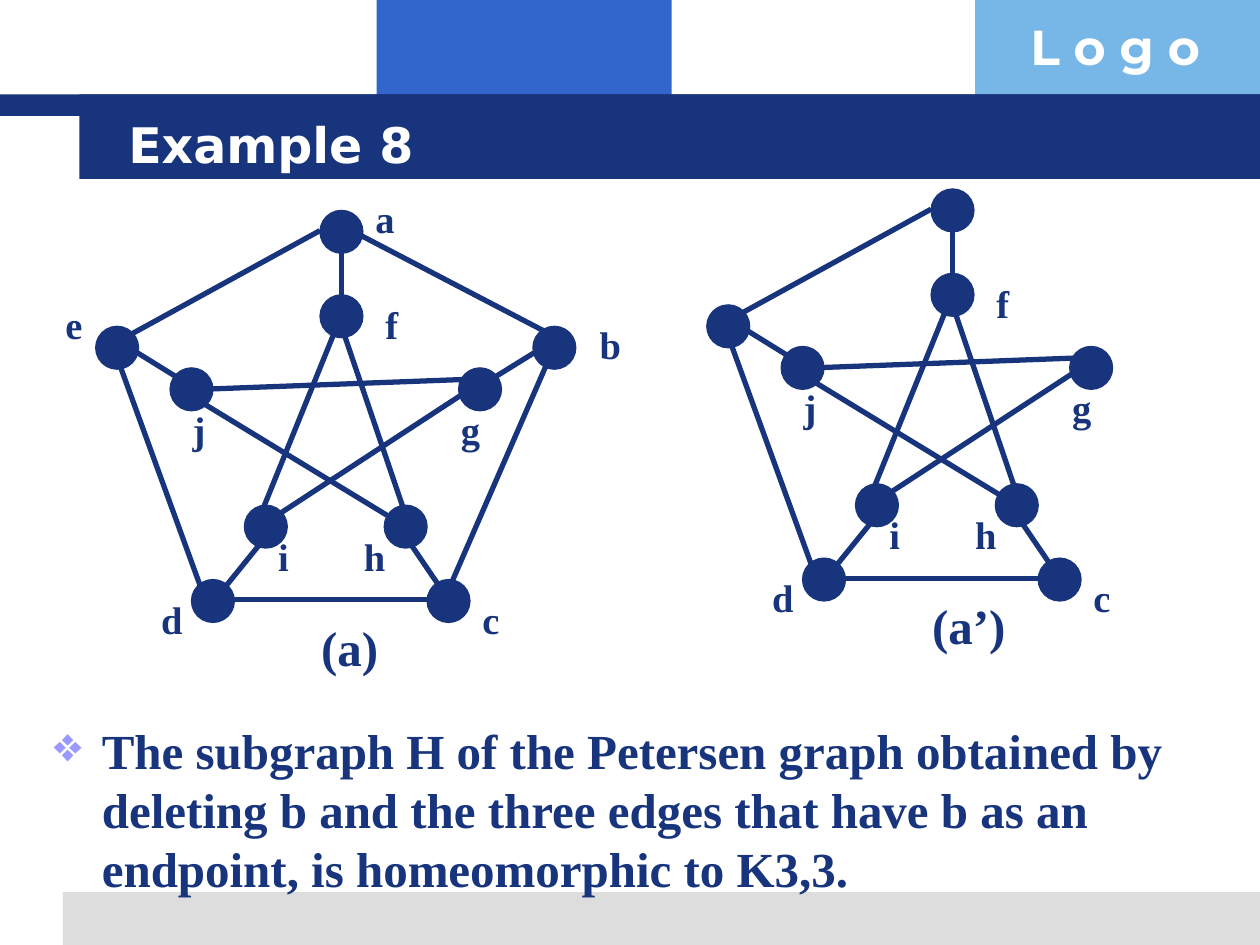
"""Build a slide showing the Petersen graph beside its subgraph without vertex b."""
import pptx
import pptx.dml.color
import pptx.enum.shapes
import pptx.enum.text
import pptx.oxml.ns
import pptx.util
from pptx.util import Inches

NAVY, WHITE, SERIF = "17347D", "FFFFFF", "Times New Roman"
TITLE = "Example 8"
LOGO = "L o g o"
BODY = ("The subgraph H of the Petersen graph obtained by deleting b and the three "
        "edges that have b as an endpoint, is homeomorphic to K3,3.")
BANDS = [
    (2.99, 0, 2.34, 0.92, "3366CC"),
    (7.74, 0, 2.26, 0.92, "77B7E7"),
    (0.5, 7.08, 9.5, 0.42, "DDDDDD"),
    (0, 0.75, 10, 0.17, NAVY),
    (0.63, 0.75, 9.37, 0.67, NAVY),
]
NODE = 0.34
NODES = {
    "a": (2.54, 1.67), "b": (4.23, 2.59), "c": (3.39, 4.6), "d": (1.52, 4.6),
    "e": (0.76, 2.59), "f": (2.54, 2.34), "g": (3.64, 2.92), "h": (3.05, 4.01),
    "i": (1.94, 4.01), "j": (1.35, 2.92),
}
LABELS = {
    "a": (2.88, 1.5), "b": (4.66, 2.5), "c": (3.73, 4.68), "d": (1.18, 4.68),
    "e": (0.42, 2.34), "f": (2.96, 2.34), "g": (3.56, 3.17), "h": (2.79, 4.18),
    "i": (2.11, 4.18), "j": (1.43, 3.17),
}
EDGES = {
    "bc": (3.56, 4.68, 4.4, 2.75), "ab": (4.4, 2.67, 2.79, 1.83),
    "bg": (3.9, 3.01, 4.32, 2.75), "fi": (2.03, 4.18, 2.71, 2.5),
    "de": (0.93, 2.84, 1.6, 4.68), "cd": (1.77, 4.76, 3.47, 4.76),
    "gj": (1.6, 3.09, 3.73, 3.01), "gi": (2.2, 4.09, 3.73, 3.09),
    "hj": (3.22, 4.18, 1.43, 3.09), "ae": (1.01, 2.67, 2.54, 1.83),
    "fh": (3.22, 4.09, 2.71, 2.59), "af": (2.71, 2.42, 2.71, 1.92),
    "di": (1.77, 4.68, 2.11, 4.26), "ch": (3.56, 4.76, 3.22, 4.26),
    "ej": (1.43, 3.01, 1.01, 2.75),
}
CAPTION_AT = (2.45, 4.85)
GRAPHS = [
    {"offset": (0, 0), "removed": "", "unlabelled": "", "caption": "(a)"},
    {"offset": (4.85, -0.17), "removed": "b", "unlabelled": "abe", "caption": "(a’)"},
]


def rgb(color):
    return pptx.dml.color.RGBColor.from_string(color)


def add_block(s, kind, x, y, w, h, color, line=None):
    sp = s.shapes.add_shape(kind, Inches(x), Inches(y), Inches(w), Inches(h))
    sp.shadow.inherit = False
    sp.fill.solid()
    sp.fill.fore_color.rgb = rgb(color)
    if line:
        sp.line.color.rgb = rgb(color)
        sp.line.width = pptx.util.Pt(line)
    else:
        sp.line.fill.background()
    return sp


def add_text(s, text, x, y, w, h, size=28, name=SERIF, color=NAVY):
    tf = s.shapes.add_textbox(Inches(x), Inches(y), Inches(w), Inches(h)).text_frame
    tf.word_wrap = True
    r = tf.paragraphs[0].add_run()
    r.text = text
    font_format = {"size": pptx.util.Pt(size), "name": name, "bold": True}
    for key, value in font_format.items():
        setattr(r.font, key, value)
    r.font.color.rgb = rgb(color)
    return tf


def add_bullet(p, char, color, indent):
    pPr = p._p.get_or_add_pPr()
    pPr.set("marL", str(Inches(indent)))
    pPr.set("indent", str(-Inches(indent)))
    buClr = pptx.oxml.xmlchemy.OxmlElement("a:buClr")
    srgb = pptx.oxml.xmlchemy.OxmlElement("a:srgbClr")
    srgb.set("val", color)
    buClr.append(srgb)
    buChar = pptx.oxml.xmlchemy.OxmlElement("a:buChar")
    buChar.set("char", char)
    pPr.extend([buClr, buChar])


def add_edge(s, x1, y1, x2, y2):
    line = s.shapes.add_connector(pptx.enum.shapes.MSO_CONNECTOR.STRAIGHT,
                                  Inches(x1), Inches(y1), Inches(x2), Inches(y2))
    line.line.color.rgb = rgb(NAVY)
    line.line.width = pptx.util.Pt(3)
    line._element.spPr.append(pptx.oxml.xmlchemy.OxmlElement("a:effectLst"))


def add_graph(s, offset, removed, unlabelled, caption):
    dx, dy = offset
    for ends, (x1, y1, x2, y2) in EDGES.items():
        if not set(ends) & set(removed):
            add_edge(s, x1 + dx, y1 + dy, x2 + dx, y2 + dy)
    for vertex, (x, y) in NODES.items():
        if vertex not in removed:
            add_block(s, pptx.enum.shapes.MSO_SHAPE.OVAL, x + dx, y + dy,
                      NODE, NODE, NAVY, line=0.75)
    for vertex, (x, y) in LABELS.items():
        if vertex not in unlabelled:
            add_text(s, vertex, x + dx, y + dy, 0.42, 0.47, size=22)
    x, y = CAPTION_AT
    add_text(s, caption, x + dx, y + dy, 0.8, 0.57)


def main():
    prs = pptx.Presentation()
    prs.slide_width, prs.slide_height = Inches(10), Inches(7.5)
    s = prs.slides.add_slide(prs.slide_layouts[6])
    for band in BANDS:
        add_block(s, pptx.enum.shapes.MSO_SHAPE.RECTANGLE, *band)
    add_text(s, LOGO, 8.08, 0.08, 1.93, 0.57, name="Montserrat", color=WHITE)
    tf = add_text(s, TITLE, 0.92, 0.83, 8.53, 0.62, name="DejaVu Sans", color=WHITE)
    tf.vertical_anchor = pptx.enum.text.MSO_ANCHOR.MIDDLE
    tf = add_text(s, BODY, 0.33, 5.67, 9.42, 1.67)
    add_bullet(tf.paragraphs[0], "❖", "9999FF", 0.38)
    for graph in GRAPHS:
        add_graph(s, **graph)
    prs.save("out.pptx")


if __name__ == "__main__":
    main()
